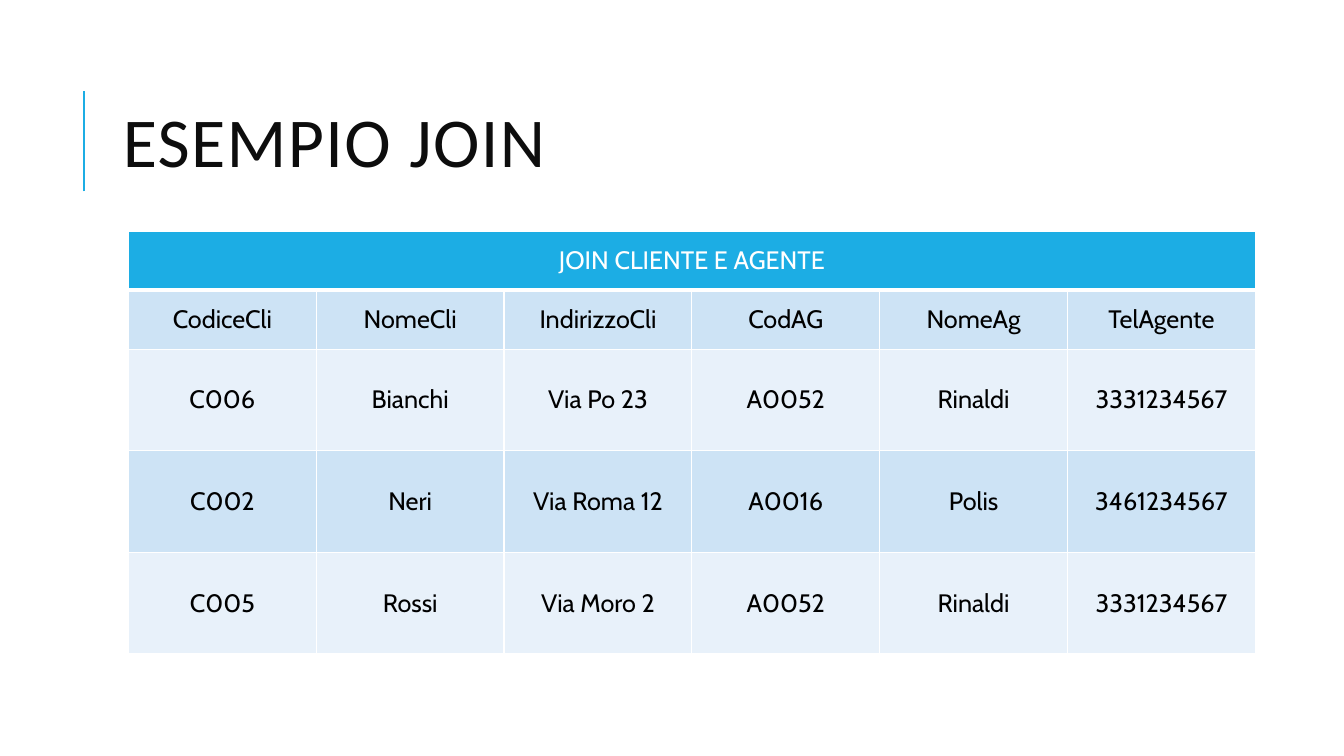
import dataclasses

import pptx
import pptx.dml.color
import pptx.enum.shapes
import pptx.enum.text
import pptx.oxml
import pptx.oxml.ns
import pptx.util

ALIGN = pptx.enum.text.PP_ALIGN
MIDDLE = pptx.enum.text.MSO_ANCHOR.MIDDLE


@dataclasses.dataclass(frozen=True)
class Theme:
    accent: str = "1CADE4"
    band_dark: str = "CDE3F5"
    band_light: str = "E8F1FA"
    white: str = "FFFFFF"
    black: str = "000000"
    title_color: str = "0D0D0D"
    title_font: str = "Calibri"
    body_font: str = "Cabin"
    title_size: int = 50
    body_size: int = 18


def rgb(color):
    return pptx.dml.color.RGBColor.from_string(color)


def write(tf, text, *, font, size, color, align=ALIGN.LEFT, leading=1.0, tracking=0):
    """Put one formatted paragraph in a text frame; tracking is in points."""
    p = tf.paragraphs[0]
    p.alignment = align
    p.line_spacing = leading
    r = p.add_run()
    r.text = text
    r.font.name = font
    r.font.size = pptx.util.Pt(size)
    r.font.bold = False
    r.font.color.rgb = rgb(color)
    if tracking:
        r.font._element.set("spc", str(tracking * 100))


def set_borders(cell, color, **widths):
    """Draw cell edges; widths maps L, R, T and B to points."""
    tc_pr = cell._tc.get_or_add_tcPr()
    for side, width in widths.items():
        tc_pr.append(pptx.oxml.parse_xml(
            f'<a:ln{side} {pptx.oxml.ns.nsdecls("a")} w="{pptx.util.Pt(width)}">'
            f'<a:solidFill><a:srgbClr val="{color}"/></a:solidFill></a:ln{side}>'))


class SlideBuilder:
    """Draws on one slide; all lengths are percentages of its size."""

    def __init__(self, prs, theme):
        self.prs = prs
        self.theme = theme
        self.s = prs.slides.add_slide(prs.slide_layouts[6])

    def x(self, share):
        return round(self.prs.slide_width * share / 100)

    def y(self, share):
        return round(self.prs.slide_height * share / 100)

    def rule(self, left, top, bottom):
        sp = self.s.shapes.add_connector(
            pptx.enum.shapes.MSO_CONNECTOR.STRAIGHT,
            self.x(left), self.y(bottom), self.x(left), self.y(top))
        sp.line.color.rgb = rgb(self.theme.accent)
        sp.line.width = pptx.util.Pt(1.5)
        sp._element.spPr.append(
            pptx.oxml.parse_xml(f'<a:effectLst {pptx.oxml.ns.nsdecls("a")}/>'))

    def title(self, text, left, top, width, height):
        sp = self.s.shapes.add_textbox(
            self.x(left), self.y(top), self.x(width), self.y(height))
        tf = sp.text_frame
        tf.word_wrap = True
        tf.vertical_anchor = MIDDLE
        write(tf, text, font=self.theme.title_font, size=self.theme.title_size,
              color=self.theme.title_color, leading=0.8, tracking=1)

    def table(self, heading, rows, left, top, width, row_heights):
        """Draw a heading merged over banded rows of equal columns."""
        theme = self.theme
        columns = len(rows[0])
        table = self.s.shapes.add_table(
            len(row_heights), columns, self.x(left), self.y(top),
            self.x(width), self.y(sum(row_heights))).table
        for column in table.columns:
            column.width = self.x(width / columns)
        for row, height in zip(table.rows, row_heights):
            row.height = self.y(height)
        table.cell(0, 0).merge(table.cell(0, columns - 1))

        heading_row = [heading] + [""] * (columns - 1)
        for i, texts in enumerate([heading_row, *rows]):
            if i == 0:
                fill, color, bottom = theme.accent, theme.white, 3
            else:
                fill = theme.band_dark if i % 2 else theme.band_light
                color, bottom = theme.black, 1
            for j, text in enumerate(texts):
                cell = table.cell(i, j)
                set_borders(cell, theme.white, L=1, R=1, T=1, B=bottom)
                cell.fill.solid()
                cell.fill.fore_color.rgb = rgb(fill)
                cell.vertical_anchor = MIDDLE
                if text:
                    write(cell.text_frame, text, font=theme.body_font,
                          size=theme.body_size, color=color, align=ALIGN.CENTER)


def main():
    prs = pptx.Presentation()
    prs.slide_width = pptx.util.Inches(13.33)
    prs.slide_height = pptx.util.Inches(7.5)

    slide = SlideBuilder(prs, Theme())
    slide.rule(6.25, 12, 25.33)
    slide.title("ESEMPIO JOIN", 8.4, 8.53, 79.75, 21.87)
    slide.table(
        "JOIN CLIENTE E AGENTE",
        [
            ["CodiceCli", "NomeCli", "IndirizzoCli", "CodAG", "NomeAg", "TelAgente"],
            ["C006", "Bianchi", "Via Po 23", "A0052", "Rinaldi", "3331234567"],
            ["C002", "Neri", "Via Roma 12", "A0016", "Polis", "3461234567"],
            ["C005", "Rossi", "Via Moro 2", "A0052", "Rinaldi", "3331234567"],
        ],
        left=9.56, top=30.6, width=83.84,
        row_heights=[7.8] * 2 + [13.44] * 3)

    prs.save("out.pptx")


if __name__ == "__main__":
    main()
